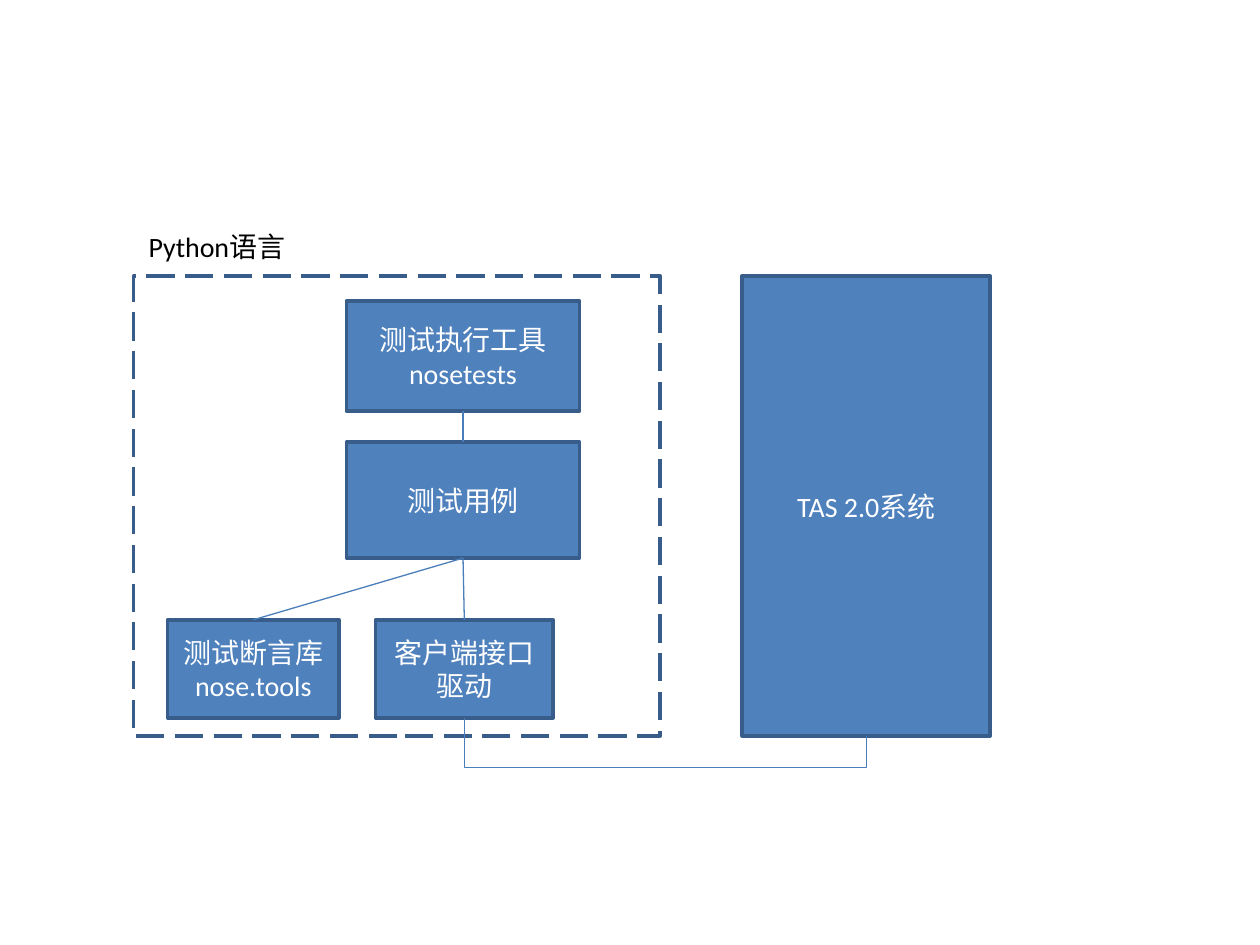
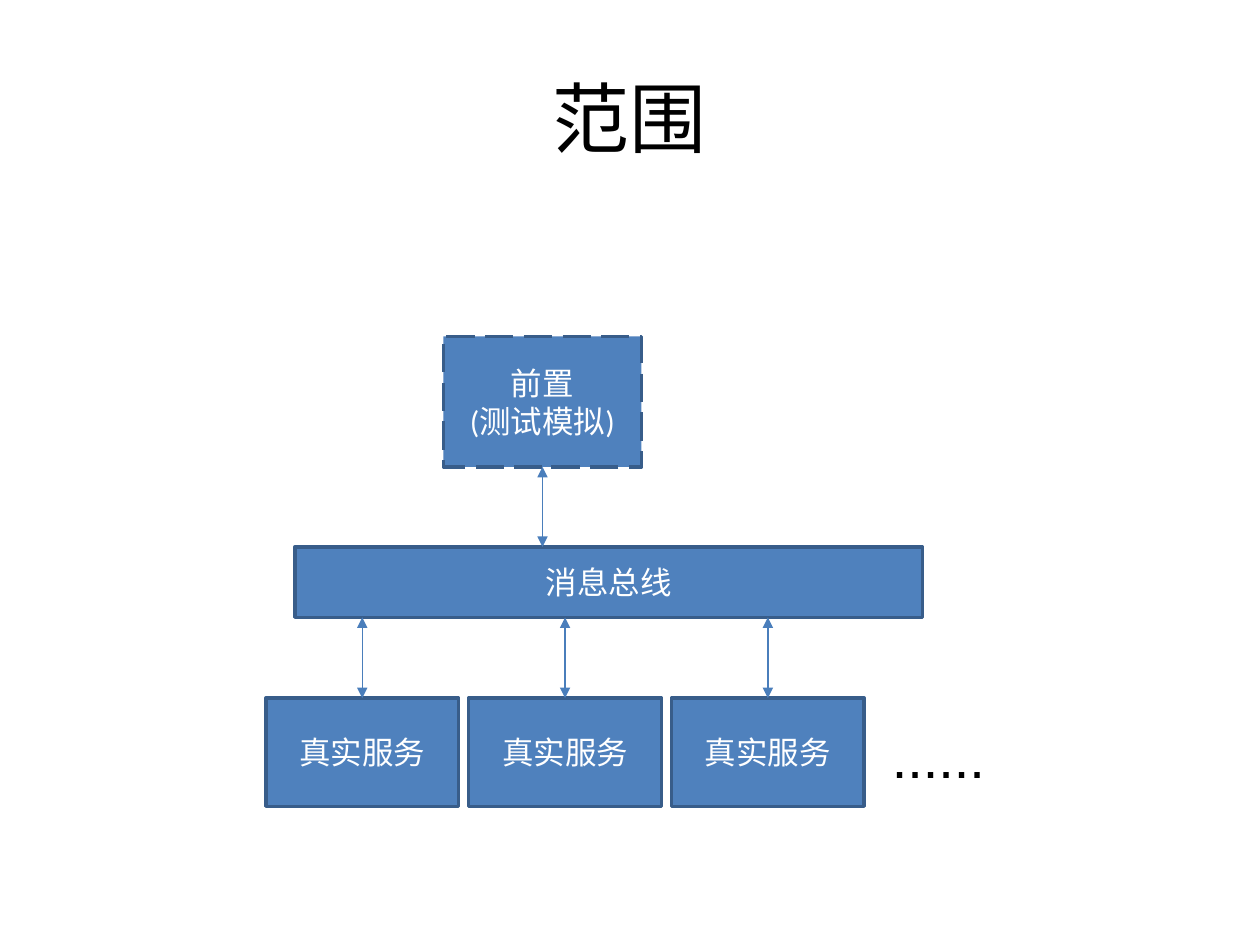
from dataclasses import dataclass

from lxml import etree
from pptx import Presentation
from pptx.dml.color import RGBColor
from pptx.enum.dml import MSO_LINE
from pptx.enum.shapes import MSO_CONNECTOR, MSO_SHAPE
from pptx.enum.text import MSO_ANCHOR, PP_ALIGN
from pptx.oxml.ns import qn
from pptx.shapes.connector import Connector
from pptx.slide import Slide
from pptx.text.text import TextFrame
from pptx.util import Pt

RECTANGLE = MSO_SHAPE.RECTANGLE
STRAIGHT, ELBOW = MSO_CONNECTOR.STRAIGHT, MSO_CONNECTOR.ELBOW
LONG_DASH = MSO_LINE.LONG_DASH
LEFT, CENTER = PP_ALIGN.LEFT, PP_ALIGN.CENTER
TOP, MIDDLE = MSO_ANCHOR.TOP, MSO_ANCHOR.MIDDLE

BLUE, BORDER, LINK = "4F81BD", "385D8A", "4A7EBB"
WHITE, BLACK = "FFFFFF", "000000"
BORDER_WIDTH, LINK_WIDTH = 2, 0.75


@dataclass(frozen=True)
class Box:
    left: float
    top: float
    width: float
    height: float
    text: str = ""
    size: float = 16
    fill: str | None = BLUE
    dashed: bool = False

    @property
    def center(self) -> float:
        return self.left + self.width / 2

    @property
    def bottom(self) -> float:
        return self.top + self.height


def color(value: str) -> RGBColor:
    return RGBColor.from_string(value)


def write(frame: TextFrame, text: str, size: float, ink: str,
          align: PP_ALIGN, font: str = "Calibri") -> None:
    frame.text = text
    for paragraph in frame.paragraphs:
        paragraph.alignment = align
        paragraph.font.name = font
        paragraph.font.size = Pt(size)
        paragraph.font.color.rgb = color(ink)


def draw_box(slide: Slide, box: Box) -> None:
    shape = slide.shapes.add_shape(RECTANGLE, Pt(box.left), Pt(box.top),
                                   Pt(box.width), Pt(box.height))
    shape.shadow.inherit = False
    if box.fill:
        shape.fill.solid()
        shape.fill.fore_color.rgb = color(box.fill)
    else:
        shape.fill.background()
    shape.line.color.rgb = color(BORDER)
    shape.line.width = Pt(BORDER_WIDTH)
    if box.dashed:
        shape.line.dash_style = LONG_DASH
    if box.text:
        shape.text_frame.vertical_anchor = MIDDLE
        write(shape.text_frame, box.text, box.size, WHITE, CENTER)


def draw_label(slide: Slide, box: Box, align: PP_ALIGN = LEFT,
               anchor: MSO_ANCHOR = TOP, font: str = "Calibri",
               wrap: bool = True, spacing: float = 1) -> None:
    label = slide.shapes.add_textbox(Pt(box.left), Pt(box.top),
                                     Pt(box.width), Pt(box.height))
    frame = label.text_frame
    frame.word_wrap = wrap
    frame.vertical_anchor = anchor
    write(frame, box.text, box.size, BLACK, align, font)
    frame.paragraphs[0].line_spacing = spacing


def draw_link(slide: Slide, kind: MSO_CONNECTOR, x1: float, y1: float,
              x2: float, y2: float, arrows: bool = False) -> Connector:
    link = slide.shapes.add_connector(kind, Pt(x1), Pt(y1), Pt(x2), Pt(y2))
    link.line.color.rgb = color(LINK)
    link.line.width = Pt(LINK_WIDTH)
    if arrows:
        line = link.line._get_or_add_ln()
        for end in ("a:headEnd", "a:tailEnd"):
            etree.SubElement(line, qn(end), type="triangle")
    etree.SubElement(link._element.spPr, qn("a:effectLst"))
    return link


def join(slide: Slide, upper: Box, lower: Box) -> None:
    draw_link(slide, STRAIGHT, upper.center, upper.bottom, lower.center, lower.top)


def join_below(slide: Slide, start: Box, end: Box, depth: float) -> None:
    """Link two bottom edges by an elbow that runs depth points below start."""
    rise, run = end.bottom - start.bottom, end.center - start.center
    x = (start.center + end.center) / 2
    y = (start.bottom + end.bottom) / 2
    # The elbow is laid out upright, then turned by 270 degrees
    link = draw_link(slide, ELBOW, x + rise / 2, y - run / 2,
                     x - rise / 2, y + run / 2)
    properties = link._element.spPr
    properties.find(qn("a:xfrm")).set("rot", str(270 * 60000))
    guides = properties.find(qn("a:prstGeom")).get_or_add_avLst()
    etree.SubElement(guides, qn("a:gd"), name="adj1",
                     fmla=f"val {round(depth / rise * 100000)}")


def build_architecture(slide: Slide) -> None:
    python_area = Box(76.3, 157.7, 301, 262.8, fill=None, dashed=True)
    runner = Box(198, 172.1, 133.2, 62.8, "测试执行工具\nnosetests")
    cases = Box(198, 252.7, 133.2, 66.2, "测试用例")
    assertions = Box(95.8, 354.2, 97.9, 56, "测试断言库\nnose.tools")
    driver = Box(214.6, 354.2, 101.5, 56, "客户端接口\n驱动")
    system = Box(424.1, 157.7, 141.8, 262.8, "TAS 2.0系统")

    for box in (python_area, runner, cases, assertions, driver, system):
        draw_box(slide, box)
    for upper, lower in ((runner, cases), (cases, assertions), (cases, driver)):
        join(slide, upper, lower)
    join_below(slide, driver, system, depth=28.4)
    draw_label(slide, Box(77.8, 127.4, 105.1, 26.6, "Python语言"))


def build_scope(slide: Slide) -> None:
    draw_label(slide, Box(36, 21.6, 648, 90, "范围", 44), CENTER, MIDDLE)

    front = Box(253.4, 192.2, 113.2, 74.6, "前置\n(测试模拟)", 18, dashed=True)
    bus = Box(168.5, 312.5, 358.6, 40.3, "消息总线", 18)
    services = [Box(151.9 + 115.9 * column, 398.9, 110.2, 61.9, "真实服务", 18)
                for column in range(3)]
    for box in (bus, *services, front):
        draw_box(slide, box)

    # Two-way message flow
    draw_link(slide, STRAIGHT, front.center, front.bottom,
              front.center, bus.top, arrows=True)
    for service in services:
        draw_link(slide, STRAIGHT, service.center, service.top,
                  service.center, bus.bottom, arrows=True)

    draw_label(slide, Box(502.6, 390.2, 67.7, 64.8, "......", 32),
               font="Arial", wrap=False, spacing=1.5)


def main() -> None:
    presentation = Presentation()
    presentation.slide_width, presentation.slide_height = Pt(720), Pt(540)
    blank = presentation.slide_layouts[6]
    for build in (build_architecture, build_scope):
        build(presentation.slides.add_slide(blank))
    presentation.save("out.pptx")


if __name__ == "__main__":
    main()
